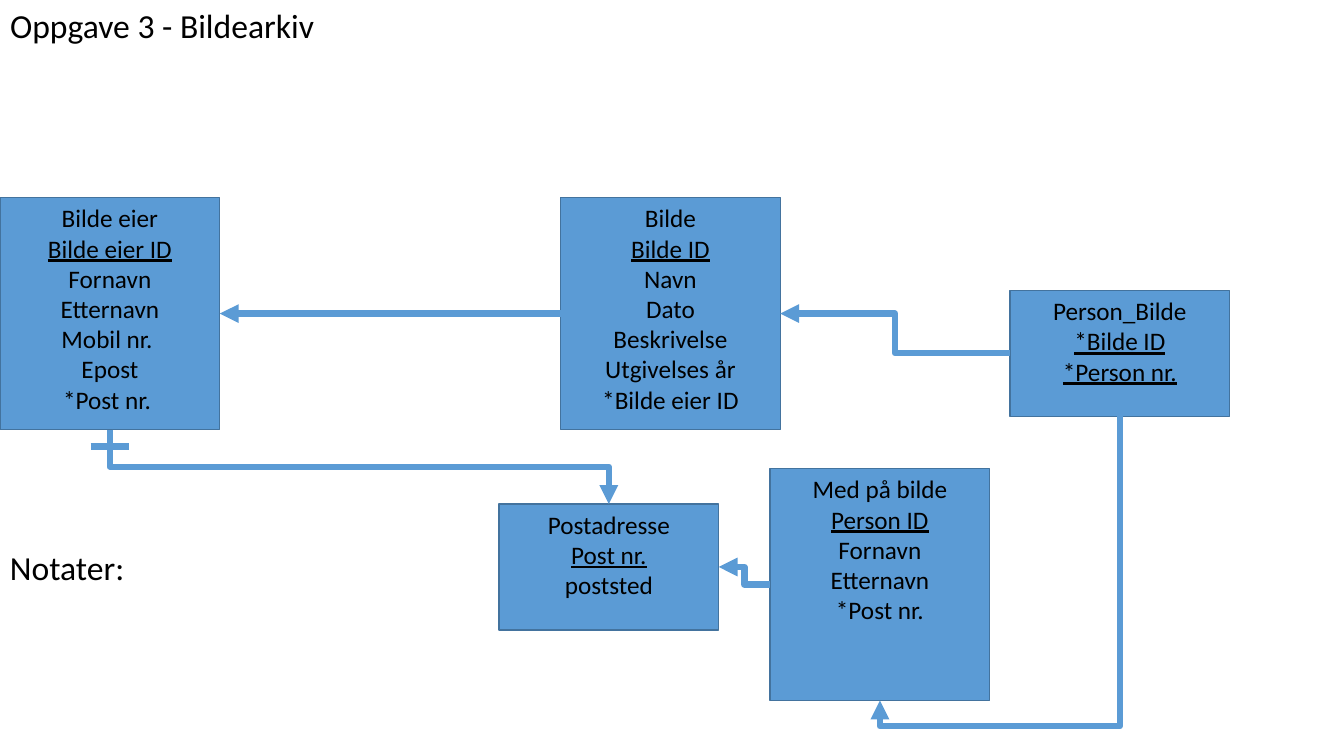
from lxml import etree
from pptx import Presentation
from pptx.dml.color import RGBColor
from pptx.enum.shapes import MSO_CONNECTOR, MSO_SHAPE
from pptx.enum.text import MSO_ANCHOR, MSO_AUTO_SIZE, PP_ALIGN
from pptx.oxml.ns import qn
from pptx.util import Inches, Pt

BLUE = RGBColor(0x5B, 0x9B, 0xD5)
EDGE = RGBColor(0x43, 0x73, 0x9E)
BLACK = RGBColor(0x00, 0x00, 0x00)
STRAIGHT, ELBOW = MSO_CONNECTOR.STRAIGHT, MSO_CONNECTOR.ELBOW
RECT = MSO_SHAPE.RECTANGLE
TOP_ANCHOR = MSO_ANCHOR.TOP
NO_FIT = MSO_AUTO_SIZE.NONE
LEFT_ALIGN, CENTER = PP_ALIGN.LEFT, PP_ALIGN.CENTER
TOP, LEFT, BOTTOM, RIGHT = range(4)
COLS, ROWS = 48, 27
BOX_W, TALL, SHORT = 7.85, 8.28, 4.5
LABEL_W, LABEL_H = 19.58, 1.8


class Diagram:
    """Draws tables, labels and links on a slide grid of 48 columns by 27 rows."""

    font, body_size, label_size, link_width = "Calibri", Pt(18), Pt(24), Pt(4.5)

    def __init__(self, prs):
        self.col = prs.slide_width / COLS
        self.row = prs.slide_height / ROWS
        self.s = prs.slides.add_slide(prs.slide_layouts[5])

    def area(self, x, y, w, h):
        return (round(x * self.col), round(y * self.row),
                round(w * self.col), round(h * self.row))

    def add_text(self, sp, lines, size, align, keys=()):
        tf = sp.text_frame
        tf.word_wrap = True
        tf.auto_size = NO_FIT
        tf.vertical_anchor = TOP_ANCHOR
        for i, line in enumerate(lines):
            p = tf.add_paragraph() if i else tf.paragraphs[0]
            p.alignment = align
            p.line_spacing = 1.0
            r = p.add_run()
            r.text = line
            r.font.name, r.font.size = self.font, size
            r.font.color.rgb = BLACK
            r.font.underline = i in keys

    def title(self, text):
        sp = self.s.shapes.title
        sp.left, sp.top, sp.width, sp.height = self.area(0, 0, LABEL_W, LABEL_H)
        self.add_text(sp, [text], self.label_size, LEFT_ALIGN)

    def label(self, text, x, y):
        sp = self.s.shapes.add_textbox(*self.area(x, y, LABEL_W, LABEL_H))
        self.add_text(sp, [text], self.label_size, LEFT_ALIGN)

    def table(self, x, y, h, lines, keys=(1,)):
        sp = self.s.shapes.add_shape(RECT, *self.area(x, y, BOX_W, h))
        sp.shadow.inherit = False
        sp.fill.solid()
        sp.fill.fore_color.rgb = BLUE
        sp.line.color.rgb = EDGE
        sp.line.width = Pt(1)
        self.add_text(sp, lines, self.body_size, CENTER, keys)
        return sp

    def line(self, kind, x1, y1, x2, y2, arrow=True):
        cx = self.s.shapes.add_connector(kind, *map(round, (x1, y1, x2, y2)))
        cx.line.color.rgb = BLUE
        cx.line.width = self.link_width
        spPr = cx._element.spPr
        if arrow:
            etree.SubElement(spPr.find(qn("a:ln")), qn("a:tailEnd"), type="triangle")
        etree.SubElement(spPr, qn("a:effectLst"))
        return cx

    def side(self, sp, side):
        dx, dy = ((0.5, 0), (0, 0.5), (0.5, 1), (1, 0.5))[side]
        return sp.left + dx * sp.width, sp.top + dy * sp.height

    def straight(self, a, a_side, b, b_side):
        cx = self.line(STRAIGHT, *self.side(a, a_side), *self.side(b, b_side))
        cx.begin_connect(a, a_side)
        cx.end_connect(b, b_side)

    def across(self, a, a_side, b, b_side):
        self.line(ELBOW, *self.side(a, a_side), *self.side(b, b_side))

    def down(self, a, a_side, b, b_side, bend=0.5):
        (x1, y1), (x2, y2) = self.side(a, a_side), self.side(b, b_side)
        mx, my = (x1 + x2) / 2, (y1 + y2) / 2
        rightward = x2 > x1
        half_w = (y2 - y1) / 2 * (-1 if rightward else 1)
        half_h = abs(x2 - x1) / 2
        cx = self.line(ELBOW, mx - half_w, my - half_h, mx + half_w, my + half_h)
        spPr = cx._element.spPr
        spPr.find(qn("a:xfrm")).set("rot", str((270 if rightward else 90) * 60000))
        guides = spPr.find(qn("a:prstGeom")).find(qn("a:avLst"))
        etree.SubElement(guides, qn("a:gd"), name="adj1", fmla=f"val {round(bend * 100000)}")

    def tick(self, x, y, half):
        self.line(STRAIGHT, (x - half) * self.col, y * self.row,
                  (x + half) * self.col, y * self.row, arrow=False)


def main():
    prs = Presentation()
    prs.slide_width, prs.slide_height = Inches(13.33), Inches(7.5)
    d = Diagram(prs)
    d.title("Oppgave 3 - Bildearkiv")
    d.label("Notater:", 0, 19.37)

    owner = d.table(0, 7.06, TALL, ["Bilde eier", "Bilde eier ID", "Fornavn", "Etternavn",
                                    "Mobil nr. ", "Epost", "*Post nr. "])
    person = d.table(27.5, 16.74, TALL, ["Med på bilde", "Person ID", "Fornavn",
                                         "Etternavn", "*Post nr."])
    image = d.table(20.02, 7.06, TALL, ["Bilde", "Bilde ID", "Navn", "Dato", "Beskrivelse",
                                        "Utgivelses år", "*Bilde eier ID"])
    address = d.table(17.82, 18, SHORT, ["Postadresse", "Post nr.", "poststed"])
    person_image = d.table(36.07, 10.37, SHORT,
                           ["Person_Bilde", "*Bilde ID", "*Person nr."], keys=(1, 2))

    d.straight(image, LEFT, owner, RIGHT)
    d.down(owner, BOTTOM, address, TOP)
    d.tick(BOX_W / 2, 15.95, 0.69)
    d.down(person_image, BOTTOM, person, BOTTOM, bend=1.09)
    d.across(person_image, LEFT, image, RIGHT)
    d.across(person, LEFT, address, RIGHT)
    prs.save("out.pptx")


if __name__ == "__main__":
    main()
